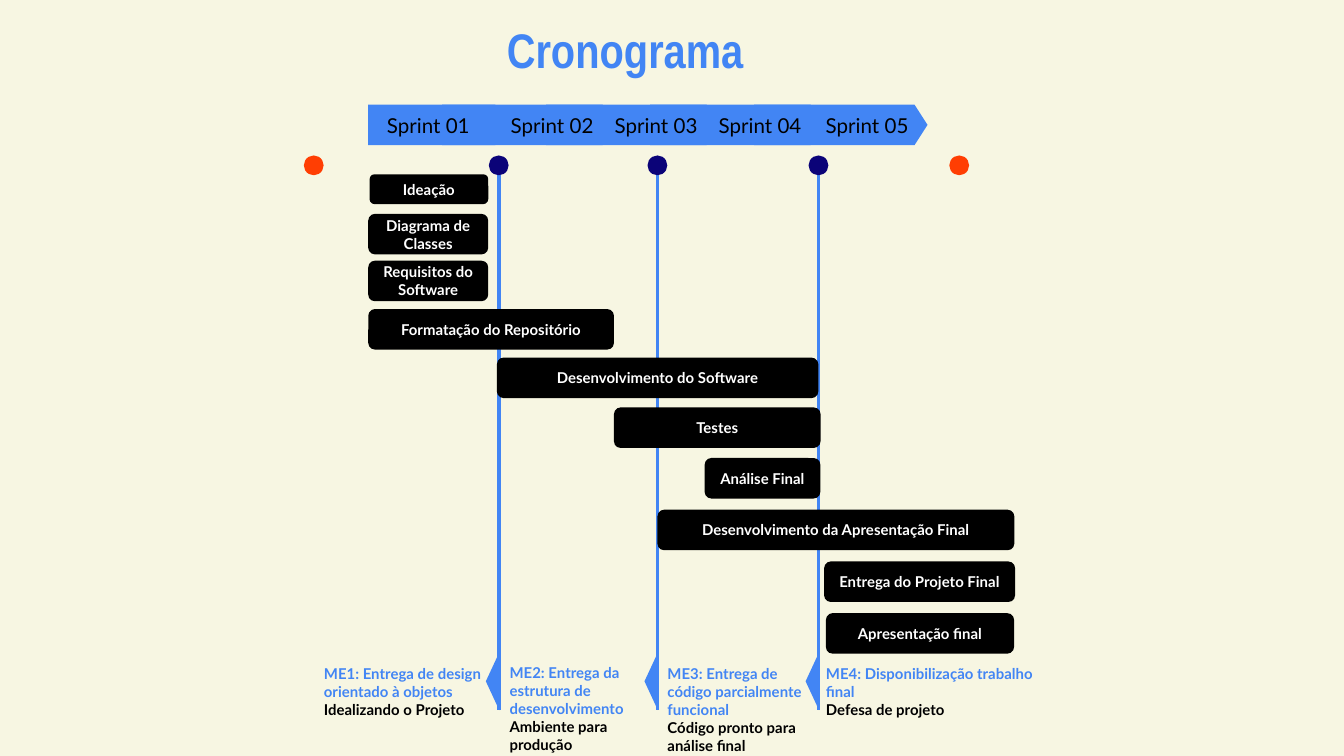
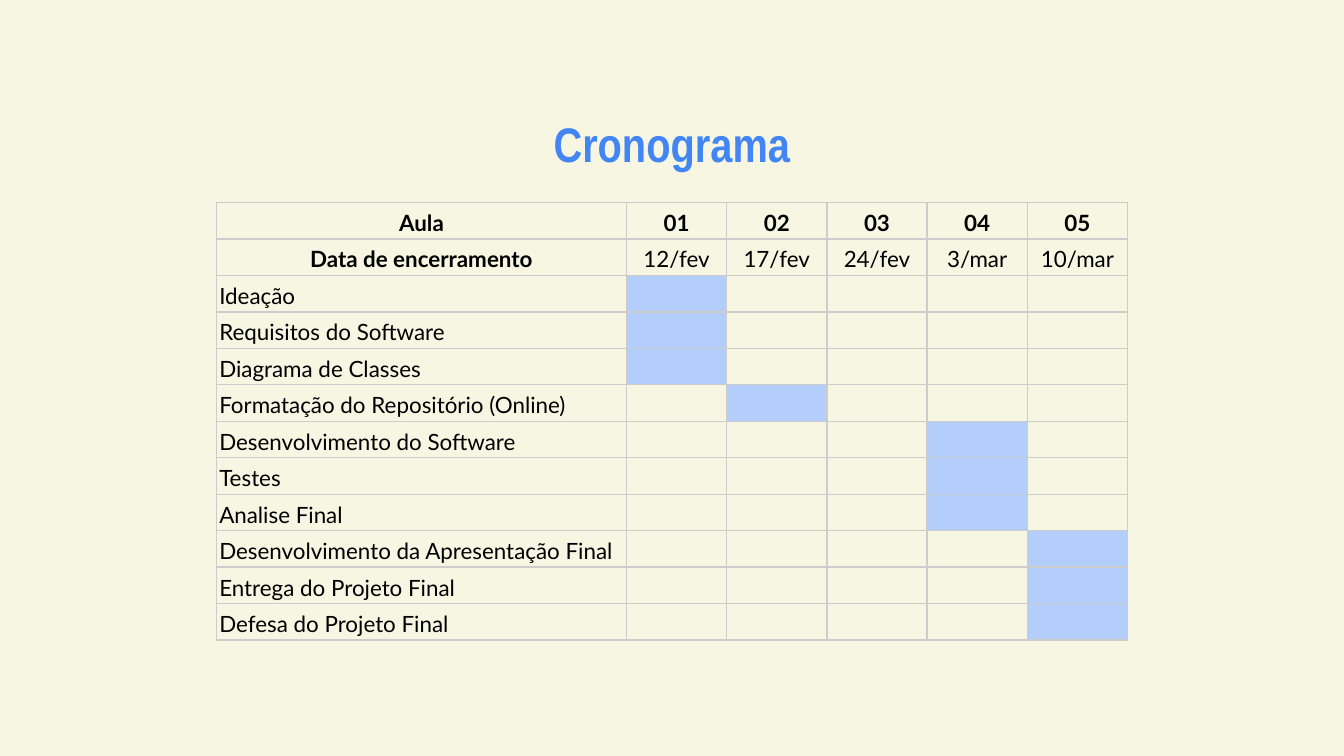
from lxml import etree
from pptx import Presentation, util as u
from pptx.dml.color import RGBColor
from pptx.enum import shapes, text
from pptx.oxml import ns

HUES = {"page": "F7F6E2", "blue": "4285F4", "navy": "0B0378", "red": "FF3E03",
        "black": "000000", "white": "FFFFFF", "pale": "B3CEFB", "grid": "CCCCCC"}
KIND = shapes.MSO_SHAPE
MID = text.PP_ALIGN.CENTER
LEFT = text.PP_ALIGN.LEFT


def hue(name):
    return RGBColor.from_string(HUES[name])


class Deck:
    def __init__(self):
        self.prs = Presentation()
        self.prs.slide_width, self.prs.slide_height = u.Pt(720), u.Pt(405)
        self.face = "Lato"
        self.slide = None

    def page(self):
        self.slide = self.prs.slides.add_slide(self.prs.slide_layouts[6])
        fill = self.slide.background.fill
        fill.solid()
        fill.fore_color.rgb = hue("page")

    def style(self, para, size, color, bold=False, align=LEFT, face=None):
        para.alignment = align
        font = para.font
        font.name, font.size, font.bold = face or self.face, u.Pt(size), bold
        font.color.rgb = hue(color)

    def frame(self, shape, pads, anchor):
        frame = shape.text_frame
        frame.word_wrap = True
        frame.vertical_anchor = anchor
        (frame.margin_left, frame.margin_top,
         frame.margin_right, frame.margin_bottom) = map(u.Pt, pads)
        return frame

    def box(self, *area):
        return self.slide.shapes.add_textbox(*map(u.Pt, area))

    def title(self, words, *area):
        frame = self.frame(self.box(*area), (5, 5, 5, 5), text.MSO_ANCHOR.MIDDLE)
        para = frame.paragraphs[0]
        para.text = words
        self.style(para, 26, "blue", True, MID, "Arial Narrow")

    def note(self, head, body, *area):
        frame = self.frame(self.box(*area), (0, 2, 7.2, 2), text.MSO_ANCHOR.TOP)
        for para, words, color in ((frame.paragraphs[0], head, "blue"),
                                   (frame.add_paragraph(), body, "black")):
            para.text = words
            self.style(para, 8, color, True)

    def shape(self, kind, color, *area, adj=None):
        item = self.slide.shapes.add_shape(kind, *map(u.Pt, area))
        item.shadow.inherit = False
        item.fill.solid()
        item.fill.fore_color.rgb = hue(color)
        item.line.fill.background()
        if adj is not None:
            item.adjustments[0] = adj
        return item

    def label(self, item, words, pads, **look):
        para = self.frame(item, pads, text.MSO_ANCHOR.MIDDLE).paragraphs[0]
        para.text = words
        self.style(para, **look)

    def bar(self, words, *area):
        item = self.shape(KIND.ROUNDED_RECTANGLE, "black", *area, adj=0.167)
        self.label(item, words, (3, 5, 3, 5), size=8, color="white", bold=True, align=MID)

    def step(self, words, left, width, pad, align):
        item = self.shape(KIND.PENTAGON, "blue", left, 56, width, 21.8, adj=0.32)
        self.label(item, words, (pad, 0, 0, 0), size=11, color="black", align=align)

    def dot(self, mid, color):
        self.shape(KIND.OVAL, color, mid - 5.3, 83.3, 10.6, 10.6)

    def flag(self, x):
        line = self.slide.shapes.add_connector(
            shapes.MSO_CONNECTOR.STRAIGHT, *map(u.Pt, (x, 93.6, x, 380.2)))
        line.line.color.rgb = hue("blue")
        line.line.width = u.Pt(2)
        etree.SubElement(line._element.spPr, ns.qn("a:effectLst"))
        self.dot(x, "navy")
        tip = self.shape(KIND.ISOSCELES_TRIANGLE, "blue", x - 18.8, 361.4, 31, 7.2)
        tip.rotation = 270

    def cell(self, cell, words, bold, align, color):
        # Borders come before the fill in the cell properties
        props = cell._tc.get_or_add_tcPr()
        for side in ("a:lnL", "a:lnR", "a:lnT", "a:lnB"):
            edge = etree.SubElement(props, ns.qn(side), w=str(u.Pt(0.83)))
            fill = etree.SubElement(edge, ns.qn("a:solidFill"))
            etree.SubElement(fill, ns.qn("a:srgbClr"), val=HUES["grid"])
        if color:
            cell.fill.solid()
            cell.fill.fore_color.rgb = hue(color)
        else:
            cell.fill.background()
        cell.vertical_anchor = text.MSO_ANCHOR.BOTTOM
        cell.margin_left = cell.margin_right = u.Pt(1.5)
        cell.margin_top = cell.margin_bottom = u.Pt(1.5)
        para = cell.text_frame.paragraphs[0]
        self.style(para, 12, "black", bold, align)
        para.line_spacing = 1.15
        if words:
            para.text = words
        else:
            etree.SubElement(para._p, ns.qn("a:endParaRPr"), sz="1200")

    def table(self, heads, tasks, left, top, widths, height):
        rows = len(heads) + len(tasks)
        grid = self.slide.shapes.add_table(
            rows, len(widths), *map(u.Pt, (left, top, sum(widths), rows * height))).table
        grid.first_row = grid.horz_banding = False
        for col, width in zip(grid.columns, widths):
            col.width = u.Pt(width)
        for row in grid.rows:
            row.height = u.Pt(height)
        for r, words in enumerate(heads):
            for c, word in enumerate(words):
                self.cell(grid.cell(r, c), word, r == 0 or c == 0, MID, None)
        for r, (task, mark) in enumerate(tasks, len(heads)):
            for c in range(len(widths)):
                self.cell(grid.cell(r, c), "" if c else task, False, LEFT,
                          "pale" if c == mark else None)


BARS = [
    ("Ideação", 198, 93.4, 63.6, 16),
    ("Diagrama de Classes", 197.3, 114.6, 64.3, 21.7),
    ("Requisitos do Software", 197.3, 139.7, 64.3, 21.7),
    ("Formatação do Repositório", 197.3, 165.6, 131.6, 21.7),
    ("Desenvolvimento do Software", 266.2, 191.6, 172.2, 21.7),
    ("Testes", 328.9, 218.3, 110.7, 21.7),
    ("Análise Final", 377.5, 245.4, 62, 21.7),
    ("Desenvolvimento da Apresentação Final", 352.2, 273.1, 191.2, 21.7),
    ("Entrega do Projeto Final", 441.5, 300.8, 102.3, 21.7),
    ("Apresentação final", 442.5, 328.5, 100.8, 21.7),
]
NOTES = [
    ("ME1: Entrega de design orientado à objetos", "Idealizando o Projeto",
     173.5, 354.3, 111.6, 50),
    ("ME2: Entrega da estrutura de desenvolvimento", "Ambiente para produção",
     273, 353.7, 84.2, 50),
    ("ME3: Entrega de código parcialmente funcional", "Código pronto para análise final",
     357.6, 354.3, 84.2, 50),
    ("ME4: Disponibilização trabalho final", "Defesa de projeto",
     442.5, 354.3, 122.4, 50),
]
HEADS = [
    ("Aula", "01", "02", "03", "04", "05"),
    ("Data de encerramento", "12/fev", "17/fev", "24/fev", "3/mar", "10/mar"),
]
# Each task with the class in which it ends
TASKS = [
    ("Ideação", 1), ("Requisitos do Software", 1), ("Diagrama de Classes", 1),
    ("Formatação do Repositório (Online)", 2), ("Desenvolvimento do Software", 4),
    ("Testes", 4), ("Analise Final", 4), ("Desenvolvimento da Apresentação Final", 5),
    ("Entrega do Projeto Final", 5), ("Defesa do Projeto Final", 5),
]


def main():
    deck = Deck()

    # Timeline
    deck.page()
    deck.title("Cronograma", 210, 7.4, 250, 38.2)
    for x in (267.2, 352.2, 438.5):
        deck.flag(x)
    for x in (168.1, 513.9):
        deck.dot(x, "red")
    # Later sprints lie under earlier ones
    for num in (5, 4, 3, 2):
        deck.step(f"Sprint 0{num}", 236.9 + 55.7 * (num - 2), 92.9,
                  31.7 if num == 5 else 28.4, MID)
    deck.step("Sprint 01", 197.3, 75, 10, LEFT)
    for bar in BARS:
        deck.bar(*bar)
    for note in NOTES:
        deck.note(*note)

    # Schedule table
    deck.page()
    deck.table(HEADS, TASKS, 116, 108.5, [219.6] + [53.7] * 5, 18.8)
    deck.title("Cronograma", 272, 57.8, 176, 38.2)

    deck.prs.save("out.pptx")


if __name__ == "__main__":
    main()
